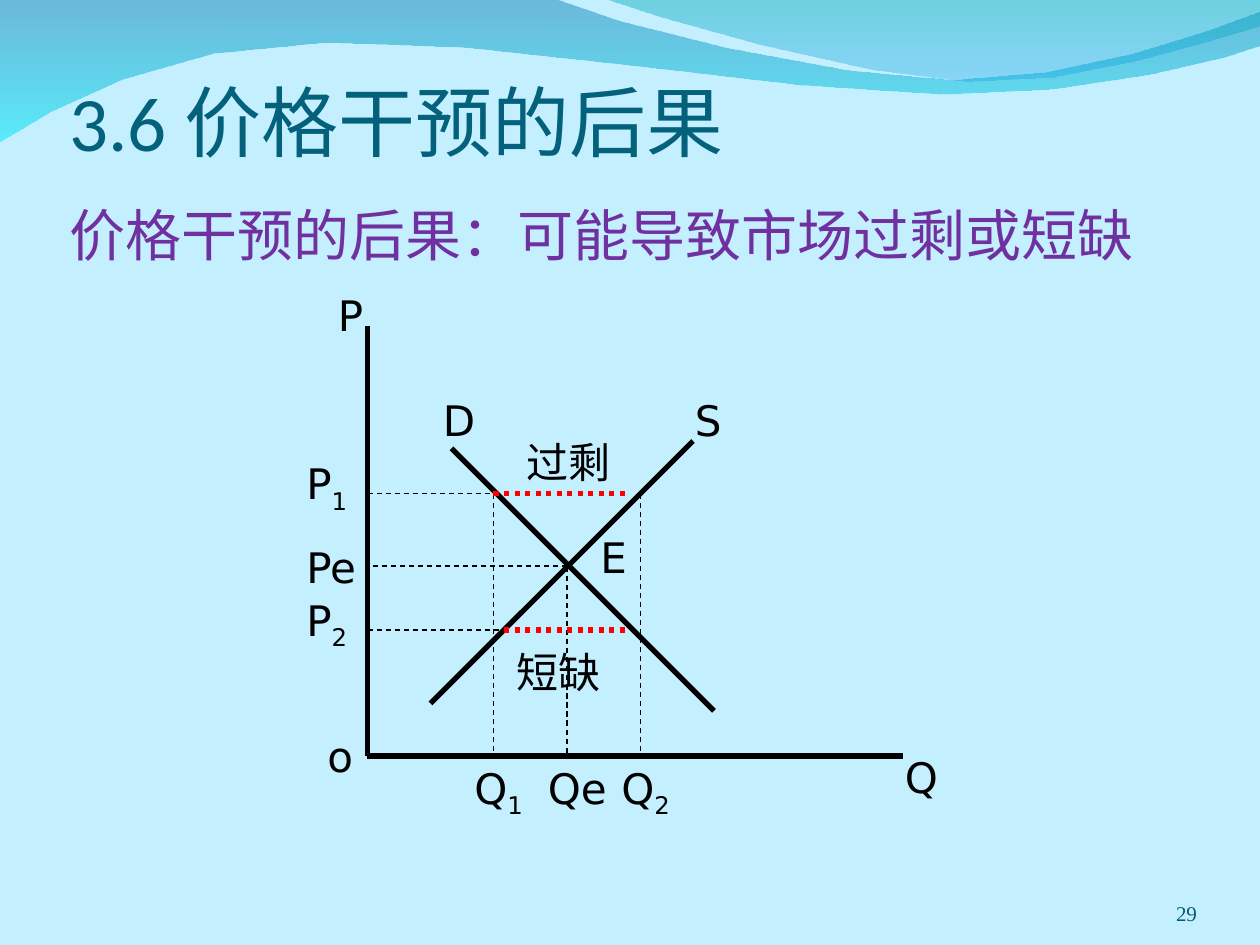
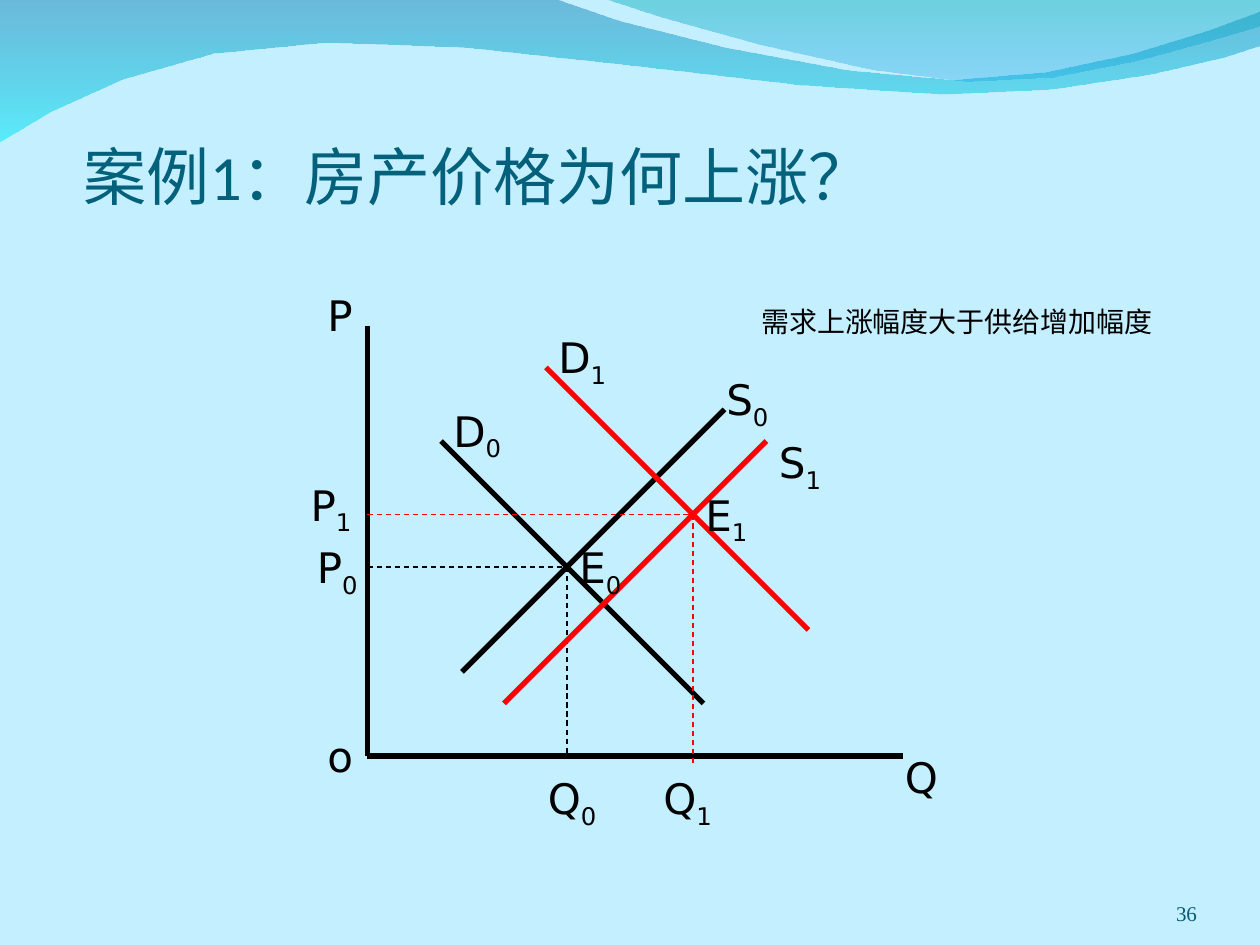
from lxml import etree
from pptx import Presentation
from pptx import util as u
from pptx.dml.color import RGBColor
from pptx.enum import dml, text
from pptx.enum.shapes import MSO_CONNECTOR
from pptx.oxml.ns import qn

SKY = RGBColor(0xC4, 0xEF, 0xFF)
TEAL = RGBColor(0x04, 0x61, 0x7B)
NUMBER_TEAL = RGBColor(0x04, 0x5C, 0x75)
PURPLE = RGBColor(0x70, 0x30, 0xA0)
BLACK = RGBColor(0, 0, 0)
RED = RGBColor(0xFF, 0, 0)
WAVE_BLUE = RGBColor(0x00, 0x79, 0xAF)
WAVE_CYAN = RGBColor(0x00, 0xEB, 0xF8)
WAVE_GREEN = RGBColor(0x00, 0xAD, 0xB6)
WAVE_AZURE = RGBColor(0x00, 0x9B, 0xE5)

CJK_FONT = "Noto Sans CJK SC"
LABEL_FONT = "DejaVu Sans"
TITLE_FONT = "Calibri"

STEP = 2.54 / 12  # diagram grid, in cm
ORIGIN = (35 * STEP, 72 * STEP)  # where the two axes meet

SOLID = {"color": BLACK, "width": 3}
SOLID_RED = {"color": RED, "width": 3}
GUIDE = {"color": BLACK, "width": 0.75, "dash": dml.MSO_LINE.DASH}
GUIDE_RED = {**GUIDE, "color": RED}
GAP = {"color": RED, "width": 3, "dash": dml.MSO_LINE.ROUND_DOT}

# Outlines in cm: two numbers are a corner, six are a cubic curve.
WAVES = [
    ([(0, -0.03), (11.18, -0.03),
      (12.09, 0.43, 16.87, 1.6, 19.25, 1.6),
      (21.67, 1.6, 24.33, 0.66, 25.4, 0.23),
      (25.43, 0.91),
      (24.97, 1.12, 22.1, 1.93, 18.95, 1.9),
      (15.8, 1.9, 9.7, 0.71, 6.53, 0.86),
      (3.28, 0.89, 1.17, 2.11, -0.03, 2.87)],
     [(WAVE_BLUE, 45), (WAVE_CYAN, 55)]),
    ([(12.17, -0.03),
      (12.93, 0.28, 17.32, 1.57, 19.53, 1.65),
      (21.74, 1.75, 24.41, 0.81, 25.4, 0.53),
      (25.4, 0)],
     [(WAVE_GREEN, 45), (WAVE_AZURE, 30)]),
]


def curve(start, c1, c2, end, pieces=4):
    """Points along a cubic curve, without its start."""
    for i in range(1, pieces + 1):
        t = i / pieces
        s = 1 - t
        yield tuple(s**3 * a + 3 * s * s * t * b + 3 * s * t * t * c + t**3 * d
                    for a, b, c, d in zip(start, c1, c2, end))


def draw_wave(slide, outline, stops):
    points = [outline[0]]
    for part in outline[1:]:
        if len(part) == 2:
            points.append(part)
        else:
            points.extend(curve(points[-1], part[:2], part[2:4], part[4:]))
    start, *rest = [(u.Cm(x), u.Cm(y)) for x, y in points]
    builder = slide.shapes.build_freeform(*start, scale=1.0)
    builder.add_line_segments(rest, close=True)
    wave = builder.convert_to_shape()
    wave.shadow.inherit = False
    wave.line.fill.background()
    wave.fill.gradient()
    wave.fill.gradient_angle = 270
    for stop, (color, opacity) in zip(wave.fill.gradient_stops, stops):
        stop.color.rgb = color
    for node, (color, opacity) in zip(wave._element.spPr.iter(qn("a:gs")), stops):
        for old in node[0]:
            node[0].remove(old)
        etree.SubElement(node[0], qn("a:alpha"), val=str(opacity * 1000))


def add_text_box(slide, box, insets, **frame_format):
    frame = slide.shapes.add_textbox(*map(u.Cm, box)).text_frame
    sides = ("left", "top", "right", "bottom")
    settings = {f"margin_{side}": u.Cm(inset) for side, inset in zip(sides, insets)}
    settings.update(word_wrap=True, **frame_format)
    for name, value in settings.items():
        setattr(frame, name, value)
    return frame


def add_run(paragraph, wording, size, font, color):
    run = paragraph.add_run()
    run.text = wording
    for name, value in {"size": u.Pt(size), "name": font}.items():
        setattr(run.font, name, value)
    run.font.color.rgb = color
    properties = run._r.get_or_add_rPr()
    etree.SubElement(properties, qn("a:ea"), typeface=CJK_FONT)
    return properties


def add_heading(slide, box, lines, line_spacing=None):
    """Bottom-anchored text; each line is (wording, size, font, colour)."""
    frame = add_text_box(slide, box, (0, 0.13, 0, 0),
                         vertical_anchor=text.MSO_ANCHOR.BOTTOM)
    paragraph = frame.paragraphs[0]
    if line_spacing:
        paragraph.line_spacing = line_spacing
    for i, line in enumerate(lines):
        if i:
            paragraph.add_line_break()
        add_run(paragraph, *line)


def add_page_number(slide, number):
    frame = add_text_box(slide, (22.02, 17.65, 2.11, 1.02), (0, 0, 0, 0),
                         vertical_anchor=text.MSO_ANCHOR.BOTTOM)
    frame.paragraphs[0].alignment = text.PP_ALIGN.RIGHT
    add_run(frame.paragraphs[0], str(number), 12, "Times New Roman", NUMBER_TEAL)


def draw_diagram(slide, origin, lines, labels):
    """Supply and demand diagram in grid steps from the origin, y upwards.

    lines pairs a style with (x1, y1, x2, y2) ends; labels maps a box width
    to (wording, left, top), where digits become subscripts.
    """
    def place(x, y):
        return origin[0] + x * STEP, origin[1] - y * STEP

    axes = (SOLID, [(0, 40.95, 0, 0), (0, 0, 51, 0)])
    for style, ends in [axes, *lines]:
        for x1, y1, x2, y2 in ends:
            corners = map(u.Cm, place(x1, y1) + place(x2, y2))
            line = slide.shapes.add_connector(MSO_CONNECTOR.STRAIGHT, *corners)
            line.line.color.rgb = style["color"]
            line.line.width = u.Pt(style["width"])
            if "dash" in style:
                line.line.dash_style = style["dash"]
            etree.SubElement(line._element.spPr, qn("a:effectLst"))

    for width, group in labels.items():
        for wording, x, y in group:
            height = 6.7 if wording[-1].isdigit() else 6
            box = (*place(x, y), width * STEP, height * STEP)
            frame = add_text_box(slide, box, (0.25, 0.13, 0.25, 0.13),
                                 auto_size=text.MSO_AUTO_SIZE.SHAPE_TO_FIT_TEXT)
            name = wording.rstrip("0123456789")
            add_run(frame.paragraphs[0], name, 24, LABEL_FONT, BLACK)
            if name != wording:
                subscript = add_run(frame.paragraphs[0], wording[len(name):],
                                    24, LABEL_FONT, BLACK)
                subscript.set("baseline", "-25000")


def start_slide(deck, number):
    slide = deck.slides.add_slide(deck.slide_layouts[6])
    for outline, stops in WAVES:
        draw_wave(slide, outline, stops)
    add_page_number(slide, number)
    return slide


def build_intervention_slide(deck):
    slide = start_slide(deck, 29)
    add_heading(slide, (1.4, 3.71, 21.59, 1.68), [
        ("3.6 价格干预的后果", 44, TITLE_FONT, TEAL),
        ("价格干预的后果：可能导致市场过剩或短缺", 32, CJK_FONT, PURPLE),
    ], line_spacing=1.5)
    draw_diagram(slide, ORIGIN, [
        (SOLID, [(8, 29.3, 33, 4.3), (6, 5, 31, 30)]),
        (GUIDE, [(0.5, 18.1, 19.5, 18.1), (19, 18, 19, 0),
                 (0, 25, 12, 25), (0, 12, 13, 12),
                 (12, 25, 12, 0), (26, 25, 26, 0)]),
        (GAP, [(12, 25, 25, 25), (13, 12, 25, 12)]),
    ], {
        7: [("o", -5, 3), ("Q", 50, 1), ("P", -4, 45),
            ("D", 6, 35), ("S", 30, 35), ("E", 21, 22)],
        11: [("P1", -7, 29), ("Pe", -7, 21), ("P2", -7, 16),
             ("Q1", 9, 0), ("Qe", 16, 0), ("Q2", 23, 0)],
        13: [("过剩", 14, 31), ("短缺", 13, 11)],
    })


def build_housing_slide(deck):
    slide = start_slide(deck, 36)
    add_heading(slide, (1.69, 2.46, 22.86, 1.83),
                [("案例1：房产价格为何上涨？", 36, TITLE_FONT, TEAL)])
    draw_diagram(slide, ORIGIN, [
        (SOLID, [(7, 30, 32, 5), (9, 8, 34, 33)]),
        (GUIDE, [(0, 18, 19, 18), (19, 18, 19, 0)]),
        (SOLID_RED, [(13, 5, 38, 30), (17, 37, 42, 12)]),
        (GUIDE_RED, [(0, 23, 31, 23), (31, 23, 31, -1)]),
    ], {
        7: [("o", -5, 3), ("Q", 50, 1), ("P", -5, 45)],
        12: [("D0", 7, 34), ("S0", 33, 37), ("E0", 19, 21),
             ("P0", -6, 21), ("Q0", 16, -1),
             ("D1", 17, 41), ("S1", 38, 31), ("E1", 31, 26),
             ("P1", -6.6, 26.95), ("Q1", 27, -1)],
    })
    add_heading(slide, (15.35, 5.78, 8.59, 1.04),
                [("需求上涨幅度大于供给增加幅度", 16, TITLE_FONT, BLACK)])


def main():
    deck = Presentation()
    deck.slide_width, deck.slide_height = u.Cm(25.4), u.Cm(19.05)
    backdrop = deck.slide_master.background.fill
    backdrop.solid()
    backdrop.fore_color.rgb = SKY
    build_intervention_slide(deck)
    build_housing_slide(deck)
    deck.save("out.pptx")


if __name__ == "__main__":
    main()
